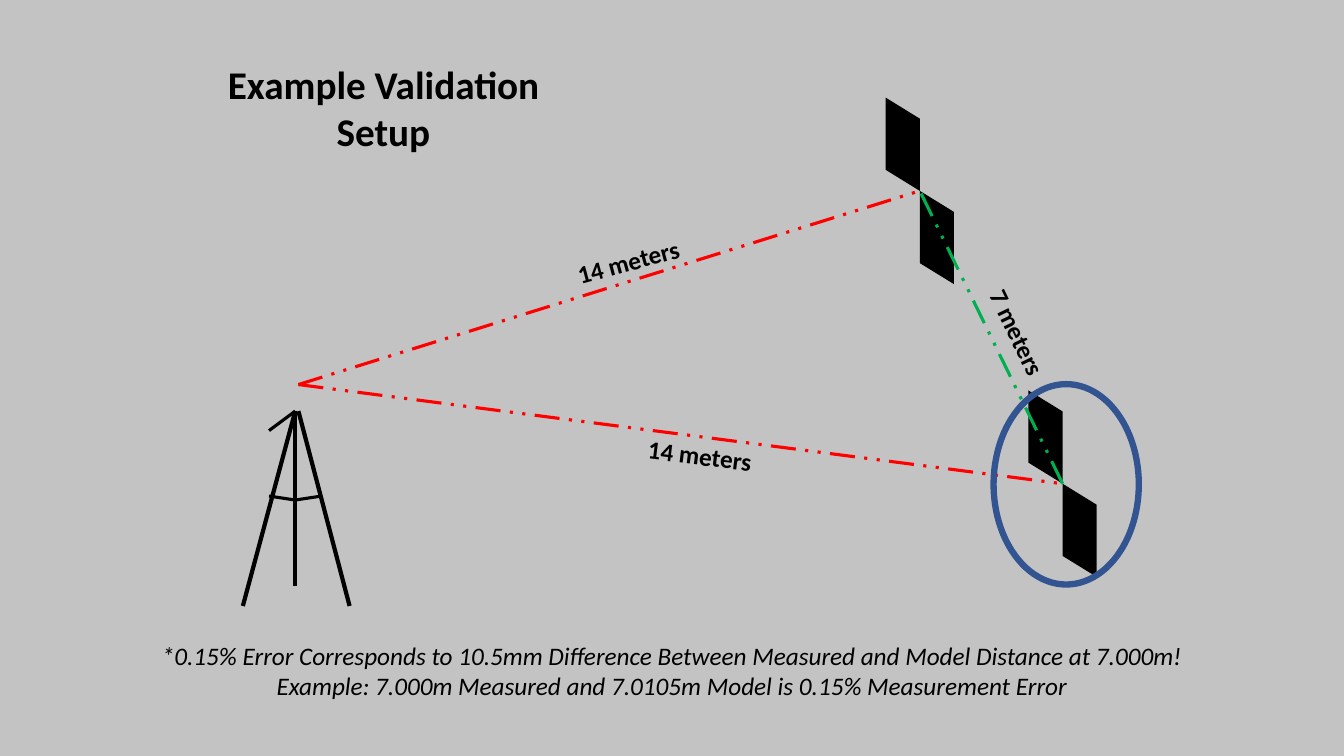
from lxml.etree import SubElement
from pptx import Presentation
from pptx.dml.color import RGBColor
from pptx.enum.dml import MSO_LINE_DASH_STYLE as Dash
from pptx.enum.shapes import MSO_CONNECTOR as Connector, MSO_SHAPE as Shape
from pptx.enum.text import MSO_AUTO_SIZE as AutoSize, PP_ALIGN as Align
from pptx.oxml.ns import qn
from pptx.util import Cm, Pt


def color(hex_code):
    return RGBColor.from_string(hex_code)


class SetupDiagram:
    """Draws the parts of a survey diagram on one slide, measured in centimetres."""

    font_name = "Calibri"
    ink = "000000"

    def __init__(self, slide, background):
        self.shapes = slide.shapes
        slide.background.fill.solid()
        slide.background.fill.fore_color.rgb = color(background)

    def line(self, start, end, width, hex_code=ink, dash=None):
        line = self.shapes.add_connector(Connector.STRAIGHT, *map(Cm, start + end))
        line.line.color.rgb = color(hex_code)
        line.line.width = Pt(width)
        if dash:
            line.line.dash_style = dash
        SubElement(line._element.spPr, qn("a:effectLst"))

    def sightline(self, start, end, hex_code):
        self.line(start, end, 2.25, hex_code, Dash.DASH_DOT_DOT)

    def target(self, center, width=0.86, slant=0.53, height=1.82):
        x, y = center
        for side in (-1, 1):
            corners = [(width, slant), (width, slant + height), (0, height)]
            outline = self.shapes.build_freeform(Cm(x), Cm(y))
            outline.add_line_segments(
                [(Cm(x + side * dx), Cm(y + side * dy)) for dx, dy in corners])
            panel = outline.convert_to_shape()
            panel.shadow.inherit = False
            panel.fill.solid()
            panel.fill.fore_color.rgb = color(self.ink)
            panel.line.fill.background()

    def ring(self, box, hex_code, width):
        ring = self.shapes.add_shape(Shape.OVAL, *map(Cm, box))
        ring.shadow.inherit = False
        ring.fill.background()
        ring.line.color.rgb = color(hex_code)
        ring.line.width = Pt(width)

    def text(self, box, lines, size=18, bold=False, italic=False,
             align=Align.CENTER, rotation=0):
        textbox = self.shapes.add_textbox(*map(Cm, box))
        textbox.rotation = rotation
        frame = textbox.text_frame
        frame.word_wrap = True
        frame.auto_size = AutoSize.SHAPE_TO_FIT_TEXT
        frame.text = "\n".join(lines)
        for paragraph in frame.paragraphs:
            paragraph.alignment = align
            font = paragraph.font
            font.name, font.size = self.font_name, Pt(size)
            font.bold, font.italic = bold, italic
            font.color.rgb = color(self.ink)

    def distance(self, left, top, label, rotation):
        self.text((left, top, 3.2, 1.02), [label], bold=True,
                  align=Align.LEFT, rotation=rotation)


def main():
    presentation = Presentation()
    presentation.slide_width, presentation.slide_height = Cm(33.87), Cm(19.05)
    slide = presentation.slides.add_slide(presentation.slide_layouts[6])
    diagram = SetupDiagram(slide, "C3C3C4")

    apex, hub = (7.44, 10.36), (7.44, 12.6)
    for foot, top in [((6.12, 15.27), apex), ((8.81, 15.27), (7.52, 10.36)),
                      ((7.44, 14.76), apex)]:
        diagram.line(foot, top, 3)
    for joint, tip in [(hub, (6.78, 12.5)), (hub, (8.1, 12.5)), (apex, (6.78, 10.85))]:
        diagram.line(joint, tip, 2.25)

    scanner, far_target, near_target = (7.52, 9.69), (23.18, 4.81), (26.78, 12.19)
    for target in (far_target, near_target):
        diagram.target(target)
        diagram.sightline(scanner, target, "FF0000")
    diagram.sightline(near_target, far_target, "00B050")

    diagram.text((4.9, 1.4, 9.53, 2.64), ["Example Validation Setup"], 28, bold=True)
    diagram.distance(14.27, 6.07, "14 meters", 344.9)
    diagram.distance(16.08, 10.97, "14 meters", 7)
    diagram.distance(24.13, 8.05, "7 meters", 64.3)
    diagram.text((3.48, 16, 26.92, 2.57), [
        "*0.15% Error Corresponds to 10.5mm Difference Between Measured"
        " and Model Distance at 7.000m!",
        "Example: 7.000m Measured and 7.0105m Model is 0.15% Measurement Error",
    ], italic=True)
    diagram.ring((25.04, 9.68, 3.66, 5.05), "325491", 4.5)

    presentation.save("out.pptx")


if __name__ == "__main__":
    main()
